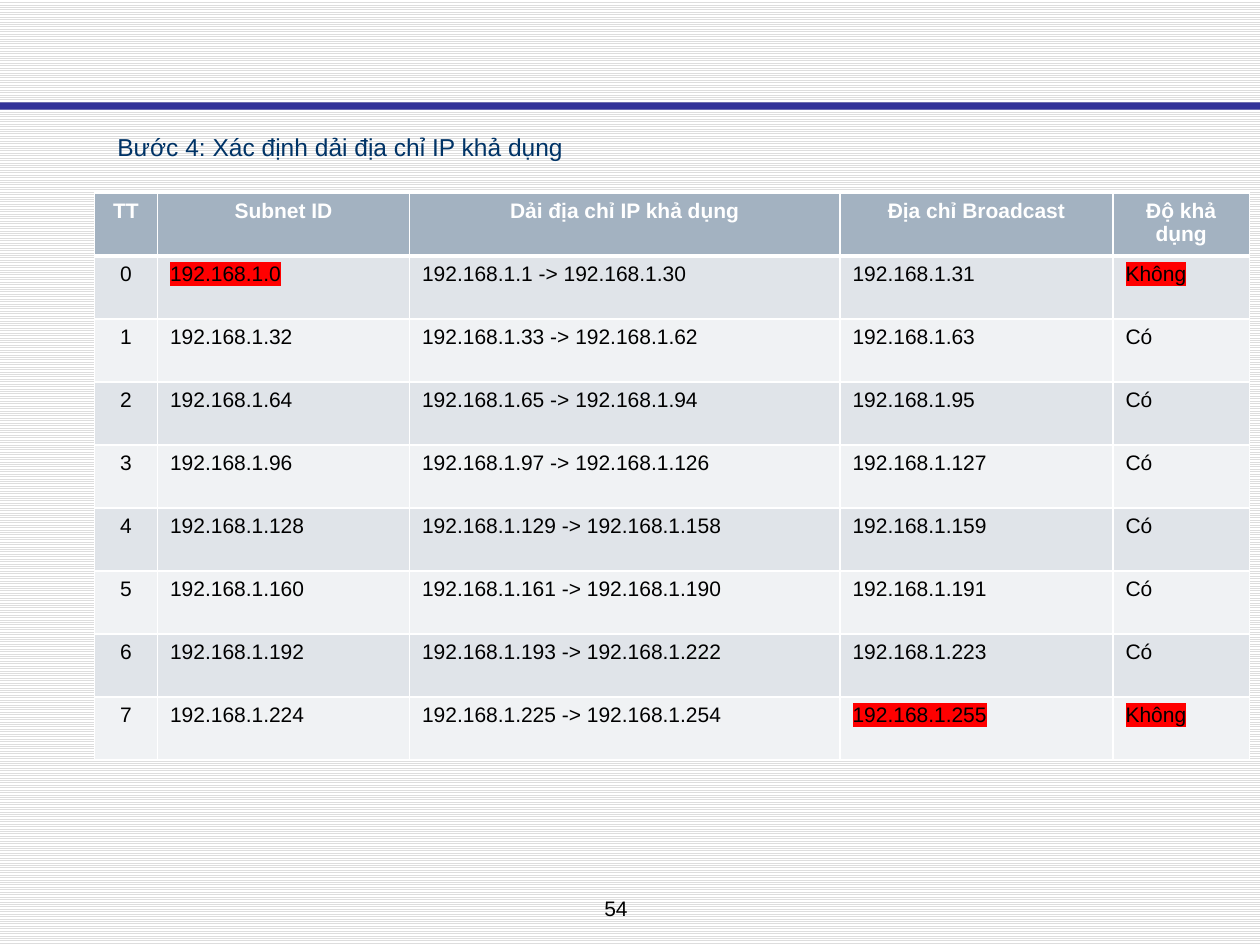
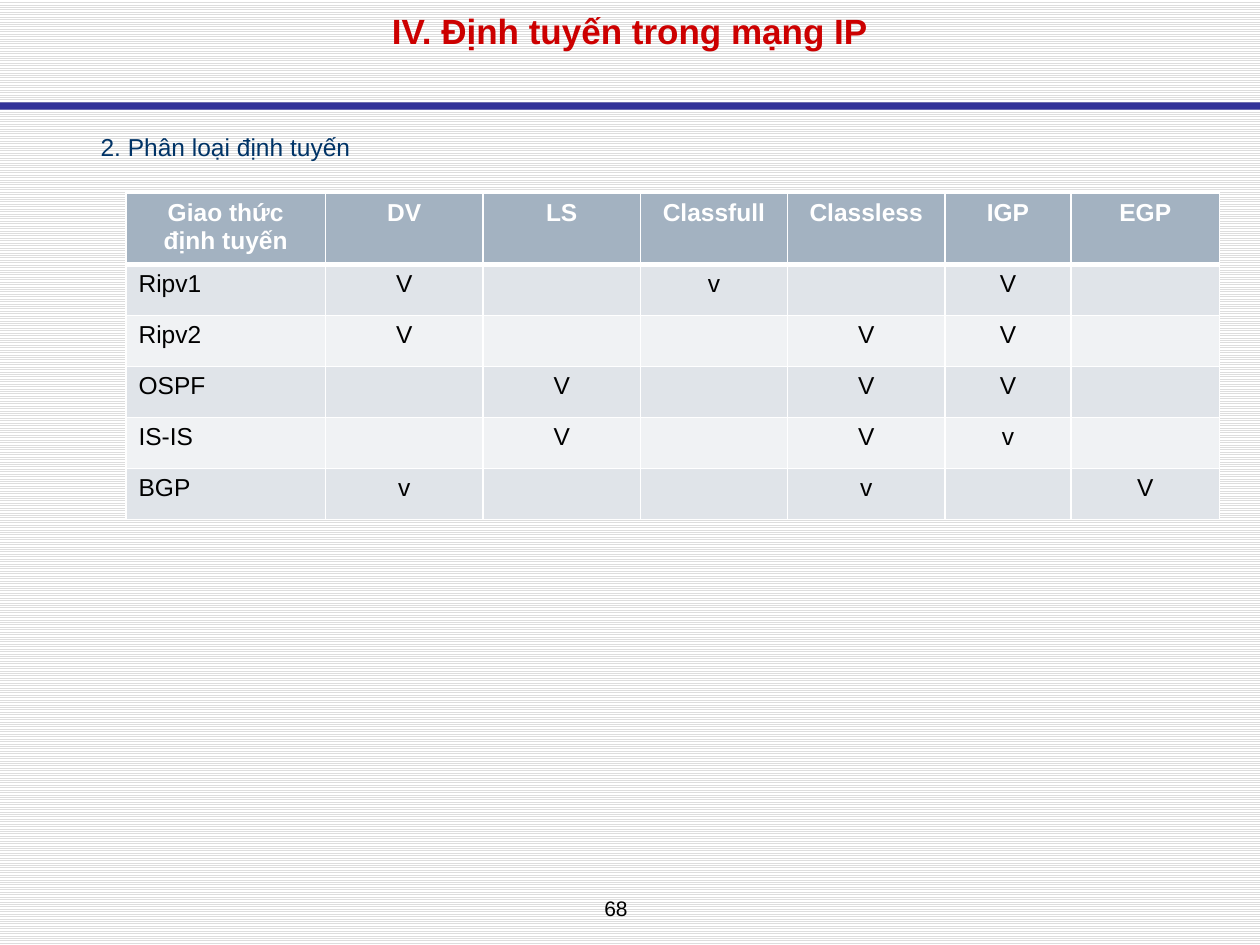
from dataclasses import dataclass

from lxml.etree import SubElement
from pptx import Presentation
from pptx.dml.color import RGBColor
from pptx.enum.dml import MSO_PATTERN
from pptx.enum.shapes import MSO_SHAPE
from pptx.enum.text import PP_ALIGN
from pptx.oxml import parse_xml
from pptx.oxml.ns import nsdecls, qn
from pptx.slide import Slide
from pptx.table import _Cell as Cell
from pptx.text.text import _Paragraph as Paragraph, _Run as Run
from pptx.util import Pt

FONT = "Arial"
WHITE = RGBColor(0xFF, 0xFF, 0xFF)
BLACK = RGBColor(0x00, 0x00, 0x00)
STRIPE_GREY = RGBColor(0xDD, 0xDD, 0xDD)
BAND_BLUE = RGBColor(0x33, 0x33, 0x99)
TITLE_RED = RGBColor(0xCC, 0x00, 0x00)
HEADING_BLUE = RGBColor(0x00, 0x33, 0x66)
HEADER_FILL = RGBColor(0xA3, 0xB2, 0xC1)
ROW_FILLS = (RGBColor(0xE0, 0xE4, 0xE9), RGBColor(0xF0, 0xF2, 0xF4))
MARK_RED = RGBColor(0xFF, 0x00, 0x00)

SLIDE_WIDTH, SLIDE_HEIGHT = 720, 540
TABLE_TOP = 110.25
SUBNET_SIZE = 32
SUBNET_COUNT = 8


@dataclass(frozen=True)
class TextStyle:
    size: float
    color: RGBColor
    bold: bool = False
    align: PP_ALIGN = PP_ALIGN.LEFT
    line_spacing: float = 1.0


@dataclass(frozen=True)
class Box:
    left: float
    top: float
    width: float
    height: float


@dataclass(frozen=True)
class Grid:
    left: float
    column_widths: tuple[float, ...]
    header_height: float
    row_height: float
    text_size: float
    centred_columns: frozenset[int]
    header: tuple[str, ...]
    rows: list[tuple[str, ...]]
    marked: frozenset[str] = frozenset()


TITLE = TextStyle(20, TITLE_RED, bold=True, align=PP_ALIGN.CENTER)
HEADING = TextStyle(14, HEADING_BLUE, line_spacing=1.35)
PAGE_NUMBER = TextStyle(12, BLACK, align=PP_ALIGN.CENTER)


def style_paragraph(paragraph: Paragraph, style: TextStyle) -> None:
    paragraph.alignment = style.align
    paragraph.line_spacing = style.line_spacing
    for run in paragraph.runs:
        run.font.name = FONT
        run.font.size = Pt(style.size)
        run.font.bold = style.bold
        run.font.color.rgb = style.color


def add_text(slide: Slide, text: str, box: Box, style: TextStyle,
             top_margin: float = 3.6) -> None:
    frame = slide.shapes.add_textbox(
        Pt(box.left), Pt(box.top), Pt(box.width), Pt(box.height)).text_frame
    frame.word_wrap = True
    frame.margin_top = Pt(top_margin)
    frame.text = text
    style_paragraph(frame.paragraphs[0], style)


def highlight(run: Run, color: RGBColor) -> None:
    mark = parse_xml(f'<a:highlight {nsdecls("a")}><a:srgbClr val="{color}"/></a:highlight>')
    run.font.fill._xPr.find(qn("a:solidFill")).addnext(mark)


def set_borders(cell: Cell, top: float, bottom: float) -> None:
    properties = cell._tc.get_or_add_tcPr()
    for side, width in (("L", 1), ("R", 1), ("T", top), ("B", bottom)):
        line = SubElement(properties, qn(f"a:ln{side}"), w=str(Pt(width)))
        fill = SubElement(line, qn("a:solidFill"))
        SubElement(fill, qn("a:srgbClr"), val=str(WHITE))


def add_grid(slide: Slide, grid: Grid) -> None:
    height = grid.header_height + len(grid.rows) * grid.row_height
    table = slide.shapes.add_table(
        len(grid.rows) + 1, len(grid.header), Pt(grid.left), Pt(TABLE_TOP),
        Pt(sum(grid.column_widths)), Pt(height)).table
    table.horz_banding = False
    for column, width in zip(table.columns, grid.column_widths):
        column.width = Pt(width)
    for row_index, texts in enumerate([grid.header, *grid.rows]):
        is_header = row_index == 0
        table.rows[row_index].height = Pt(grid.header_height if is_header else grid.row_height)
        for column_index, text in enumerate(texts):
            cell = table.cell(row_index, column_index)
            set_borders(cell, top=3 if row_index == 1 else 1, bottom=3 if is_header else 1)
            cell.fill.solid()
            cell.fill.fore_color.rgb = HEADER_FILL if is_header else ROW_FILLS[(row_index - 1) % 2]
            centred = is_header or column_index in grid.centred_columns
            cell.text_frame.text = text
            paragraph = cell.text_frame.paragraphs[0]
            style_paragraph(paragraph, TextStyle(
                grid.text_size, WHITE if is_header else BLACK, is_header,
                PP_ALIGN.CENTER if centred else PP_ALIGN.LEFT))
            if text in grid.marked:
                highlight(paragraph.runs[0], MARK_RED)


def add_base_slide(deck: Presentation, page: int) -> Slide:
    slide = deck.slides.add_slide(deck.slide_layouts[6])
    background = slide.background.fill
    background.patterned()
    background.pattern = MSO_PATTERN.LIGHT_HORIZONTAL
    background.fore_color.rgb = STRIPE_GREY
    background.back_color.rgb = WHITE
    band = slide.shapes.add_shape(
        MSO_SHAPE.RECTANGLE, Pt(0), Pt(58.5), Pt(SLIDE_WIDTH), Pt(4.2))
    band.shadow.inherit = False
    band.fill.solid()
    band.fill.fore_color.rgb = BAND_BLUE
    band.line.fill.background()
    add_text(slide, str(page), Box(293.75, 508.3, 116.5, 21.6), PAGE_NUMBER)
    return slide


def subnet_row(index: int) -> tuple[str, ...]:
    first = index * SUBNET_SIZE
    last = first + SUBNET_SIZE - 1
    usable = "Không" if index in (0, SUBNET_COUNT - 1) else "Có"
    return (str(index), f"192.168.1.{first}",
            f"192.168.1.{first + 1} -> 192.168.1.{last - 1}", f"192.168.1.{last}", usable)


SUBNETS = Grid(
    left=54, column_widths=(36, 144, 246, 156, 78), header_height=36, row_height=36,
    text_size=12, centred_columns=frozenset({0}),
    header=("TT", "Subnet ID", "Dải địa chỉ IP khả dụng", "Địa chỉ Broadcast", "Độ khả dụng"),
    rows=[subnet_row(index) for index in range(SUBNET_COUNT)],
    marked=frozenset({"192.168.1.0", "192.168.1.255", "Không"}),
)

PROTOCOLS = Grid(
    left=72, column_widths=(114, 90, 90, 84, 90, 72, 85), header_height=40.8, row_height=29.15,
    text_size=14, centred_columns=frozenset(range(1, 7)),
    header=("Giao thức định tuyến", "DV", "LS", "Classfull", "Classless", "IGP", "EGP"),
    rows=[
        ("Ripv1", "V", "", "v", "", "V", ""),
        ("Ripv2", "V", "", "", "V", "V", ""),
        ("OSPF", "", "V", "", "V", "V", ""),
        ("IS-IS", "", "V", "", "V", "v", ""),
        ("BGP", "v", "", "", "v", "", "V"),
    ],
)


def main() -> None:
    deck = Presentation()
    deck.slide_width, deck.slide_height = Pt(SLIDE_WIDTH), Pt(SLIDE_HEIGHT)

    subnets = add_base_slide(deck, 54)
    add_text(subnets, "Bước 4: Xác định dải địa chỉ IP khả dụng",
             Box(60, 66.25, 637, 462), HEADING)
    add_grid(subnets, SUBNETS)

    protocols = add_base_slide(deck, 68)
    add_text(protocols, "IV. Định tuyến trong mạng IP", Box(36, 0, 648, 66.25), TITLE,
             top_margin=5.5)
    add_text(protocols, "2. Phân loại định tuyến", Box(50.4, 66.25, 637, 204), HEADING)
    add_grid(protocols, PROTOCOLS)

    deck.save("out.pptx")


if __name__ == "__main__":
    main()
